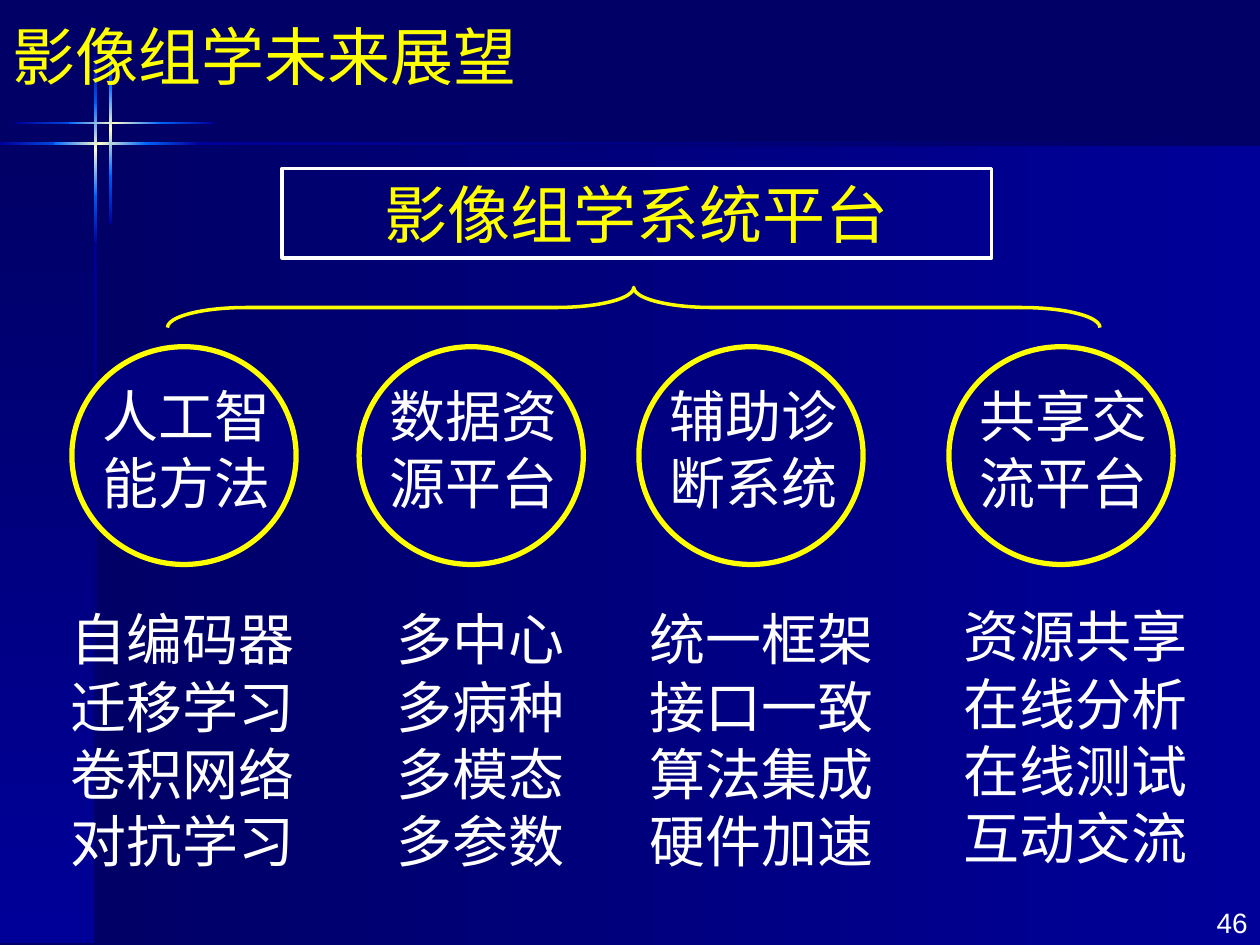
from copy import deepcopy

from pptx import Presentation
from pptx import util as u
from pptx.dml import color
from pptx.enum import shapes, text
from pptx.oxml import ns

COLORS = {
    "night": "000066",
    "navy": "000080",
    "blue": "000099",
    "bright": "0066FF",
    "cream": "FFFFCC",
    "yellow": "FFFF00",
    "white": "FFFFFF",
}
LATIN, CJK = "Arial", "Noto Sans CJK SC"
THIN = 0.05
BEAM_PARTS = [
    (0, 1.55, 0, 1.12, ("blue", "bright")),
    (2.9, 1.12, 2.69, 1.12, ("bright", "blue")),
    (1.09, 1.85, 0.97, 1.85, ("bright", "cream", "bright")),
]
PILLARS = [
    (1.45, "人工智能方法", LATIN, (0.89, 12.07, 5.59), ["自编码器", "迁移学习", "卷积网络", "对抗学习"]),
    (7.24, "数据资源平台", LATIN, (7.29, 12.07, 4.8), ["多中心", "多病种", "多模态", "多参数"]),
    (12.88, "辅助诊断系统", LATIN, (12.8, 12.07, 5.11), ["统一框架", "接口一致", "算法集成", "硬件加速"]),
    (19.13, "共享交流平台", "Roboto", (18.69, 12.01, 5.99), ["资源共享", "在线分析", "在线测试", "互动交流"]),
]


def rgb(name):
    return color.RGBColor.from_string(COLORS[name])


class SlideBuilder:
    def __init__(self, slide):
        self.slide = slide
        fill = slide.background.fill
        fill.solid()
        fill.fore_color.rgb = rgb("night")

    def shape(self, kind, box, line=None, width=2, fill=None, parent=None):
        owner = parent or self.slide
        shape = owner.shapes.add_shape(kind, *map(u.Cm, box))
        shape.shadow.inherit = False
        if fill:
            shape.fill.solid()
            shape.fill.fore_color.rgb = rgb(fill)
        else:
            shape.fill.background()
        if line:
            shape.line.color.rgb = rgb(line)
            shape.line.width = u.Pt(width)
        else:
            shape.line.fill.background()
        return shape

    def gradient(self, box, names, vertical=False):
        shape = self.shape(shapes.MSO_SHAPE.RECTANGLE, box)
        shape.fill.gradient()
        shape.fill.gradient_angle = 270 if vertical else 0
        stop_list = shape.element.find(".//" + ns.qn("a:gsLst"))
        for _ in names[2:]:
            stop_list.append(deepcopy(stop_list[0]))
        for index, (stop, name) in enumerate(zip(shape.fill.gradient_stops, names)):
            stop.position = index / (len(names) - 1)
            stop.color.rgb = rgb(name)

    def cross(self, left, top):
        for across, width, down, height, names in BEAM_PARTS:
            self.gradient((left + across, top, width, THIN), names)
            self.gradient((left + 1.9, top - 1.75 + down, THIN, height), names, vertical=True)

    def set_text(self, shape, lines, size, font, ink="white", align="LEFT", anchor="TOP", pitch=None):
        frame = shape.text_frame
        frame.word_wrap = True
        frame.vertical_anchor = text.MSO_ANCHOR[anchor]
        frame.text = "\n".join(lines)
        for paragraph in frame.paragraphs:
            paragraph.alignment = text.PP_ALIGN[align]
            if pitch:
                paragraph.line_spacing = u.Pt(pitch)
            for run in paragraph.runs:
                run.font.name = font
                run.font.size = u.Pt(size)
                run.font.color.rgb = rgb(ink)

    def textbox(self, box, lines, size, font, parent=None, **style):
        owner = parent or self.slide
        self.set_text(owner.shapes.add_textbox(*map(u.Cm, box)), lines, size, font, **style)

    def title(self, box, wording):
        title = self.slide.shapes.title
        title.left, title.top, title.width, title.height = map(u.Cm, box)
        self.set_text(title, [wording], 36, CJK, ink="yellow", anchor="MIDDLE")
        title.element.getparent().append(title.element)

    def pillar(self, left, label, font, list_box, items):
        group = self.slide.shapes.add_group_shape()
        self.shape(shapes.MSO_SHAPE.OVAL, (left, 6.99, 4.52, 4.39), "yellow", 3, "navy", group)
        self.textbox((left + 0.36, 7.57, 4.17, 3), [label], 32, font, group, pitch=38.4)
        self.textbox((*list_box, 5.74), items, 32, CJK, align="CENTER", pitch=38.4)


def main():
    presentation = Presentation()
    presentation.slide_width, presentation.slide_height = u.Cm(25.4), u.Cm(19.05)
    builder = SlideBuilder(presentation.slides.add_slide(presentation.slide_layouts[5]))

    builder.gradient((1.9, 2.95, 23.5, 16.1), ("night", "blue"))
    builder.gradient((0, 2.92, 1.9, 16.1), ("night", "blue"), vertical=True)
    builder.gradient((1.9, 0.05, THIN, 3.07), ("night", "blue"), vertical=True)
    builder.gradient((1.9, 4.93, THIN, 11.89), ("blue", "night"), vertical=True)
    builder.gradient((3.89, 2.87, 20.9, THIN), ("blue", "night"))
    builder.cross(0, 2.87)
    builder.cross(0.3, 2.46)

    builder.textbox((22.91, 18.14, 2.49, 0.94), ["46"], 16, LATIN, align="RIGHT")
    builder.title((0, 0.1, 23.01, 2.03), "影像组学未来展望")

    heading = builder.shape(shapes.MSO_SHAPE.RECTANGLE, (5.69, 3.4, 14.3, 1.8), "white")
    builder.set_text(heading, ["影像组学系统平台"], 36, LATIN, "yellow", "CENTER", "MIDDLE")
    brace = builder.shape(shapes.MSO_SHAPE.LEFT_BRACE, (12.37, -3.2, 0.81, 18.8), "yellow")
    brace.rotation = 90
    brace.adjustments[0] = 1.95

    for pillar in PILLARS:
        builder.pillar(*pillar)

    presentation.save("out.pptx")


if __name__ == "__main__":
    main()
